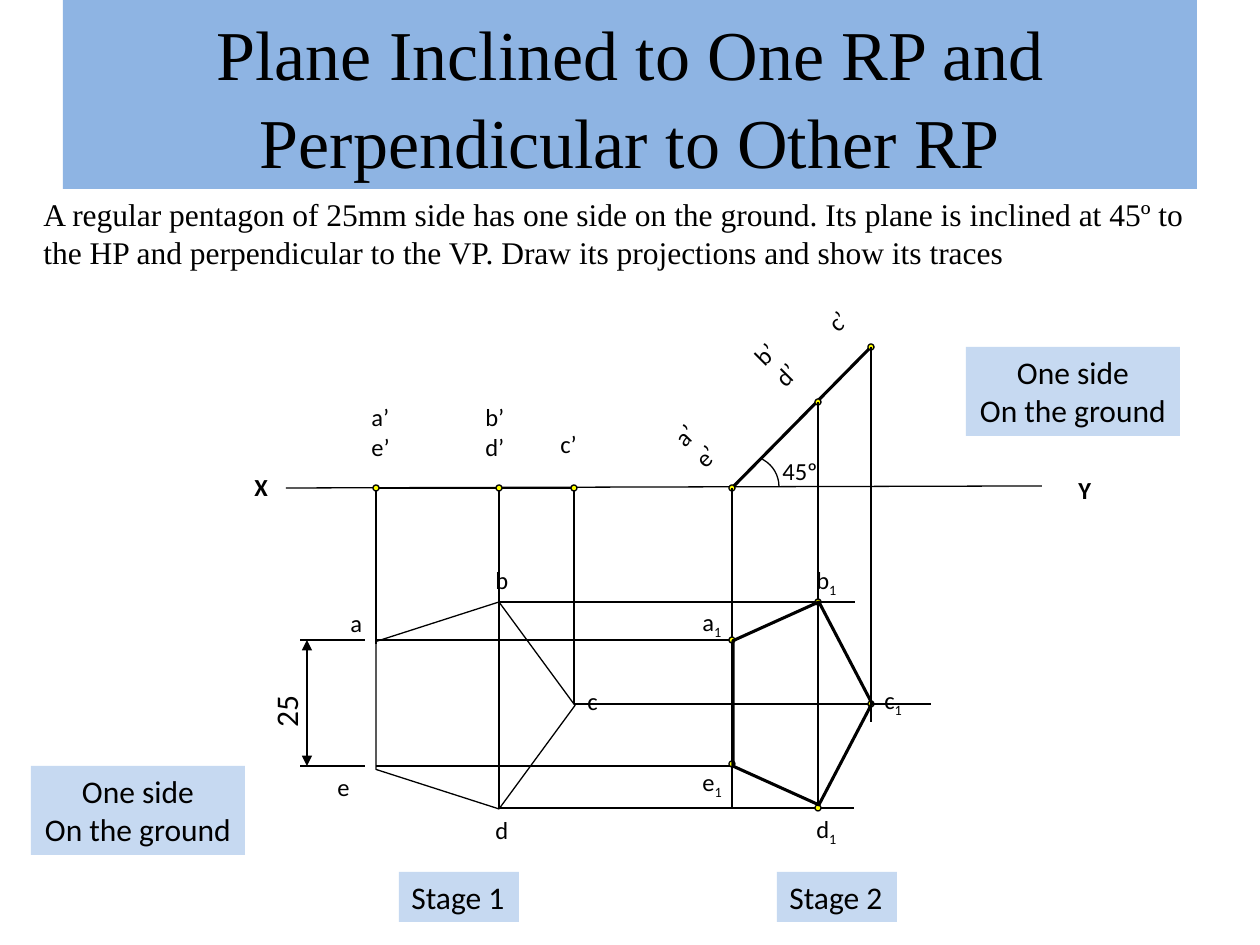
from lxml import etree
from pptx import Presentation
from pptx.dml.color import RGBColor
from pptx.enum.shapes import MSO_CONNECTOR, MSO_SHAPE
from pptx.enum.text import MSO_ANCHOR, MSO_AUTO_SIZE, PP_ALIGN
from pptx.oxml.ns import qn
from pptx.util import Pt

RECT, OVAL = MSO_SHAPE.RECTANGLE, MSO_SHAPE.OVAL
PENTAGON, ARC = MSO_SHAPE.REGULAR_PENTAGON, MSO_SHAPE.ARC
STRAIGHT = MSO_CONNECTOR.STRAIGHT
LEFT, CENTER = PP_ALIGN.LEFT, PP_ALIGN.CENTER
TOP, MIDDLE = MSO_ANCHOR.TOP, MSO_ANCHOR.MIDDLE
FIT, FIXED = MSO_AUTO_SIZE.SHAPE_TO_FIT_TEXT, MSO_AUTO_SIZE.NONE

EMU_PER_PX = 914400 // 126
THIN, THICK = 0.75, 1.75


def px(value):
    return int(value * EMU_PER_PX)


def color(hex_value):
    return RGBColor.from_string(hex_value)


class Drawing:
    ink, dot_fill, note_fill, title_fill = "000000", "FFFF00", "C6D9F1", "8EB4E3"
    sans, serif = "Calibri", "Times New Roman"

    def __init__(self, slide):
        self.shapes = slide.shapes

    def line(self, x1, y1, x2, y2, weight=THIN, arrows=False):
        link = self.shapes.add_connector(STRAIGHT, px(x1), px(y1), px(x2), px(y2))
        link.line.color.rgb = color(self.ink)
        link.line.width = Pt(weight)
        properties = link.line._get_or_add_ln()
        if arrows:
            for end in ("a:headEnd", "a:tailEnd"):
                etree.SubElement(properties, qn(end), type="triangle")
        etree.SubElement(properties.getparent(), qn("a:effectLst"))

    def shape(self, kind, box, fill=None, weight=None, rotation=0):
        item = self.shapes.add_shape(kind, *map(px, box))
        item.shadow.inherit = False
        item.rotation = rotation
        if fill:
            item.fill.solid()
            item.fill.fore_color.rgb = color(fill)
        else:
            item.fill.background()
        if weight:
            item.line.color.rgb = color(self.ink)
            item.line.width = Pt(weight)
        else:
            item.line.fill.background()
        return item

    def dot(self, x, y, rotation=0):
        self.shape(OVAL, (x - 3, y - 3, 6, 6), self.dot_fill, THIN, rotation)

    def set_text(self, item, lines, size, font=sans, bold=False, align=LEFT,
                 subscript="", spacing=None, **frame):
        settings = {"word_wrap": True, "auto_size": FIT, "vertical_anchor": TOP, **frame}
        for name, value in settings.items():
            setattr(item.text_frame, name, value)
        for index, line in enumerate(lines):
            paragraph = (item.text_frame.add_paragraph() if index
                         else item.text_frame.paragraphs[0])
            paragraph.alignment = align
            paragraph.line_spacing = spacing
            for text in filter(None, (line, subscript)):
                run = paragraph.add_run()
                run.text = text
                for name, value in {"name": font, "size": Pt(size), "bold": bold}.items():
                    setattr(run.font, name, value)
                run.font.color.rgb = color(self.ink)
                if text == subscript:
                    run.font._element.set("baseline", "-25000")

    def label(self, text, x, y, width=53, height=42, rotation=0, size=14, **style):
        box = self.shapes.add_textbox(px(x), px(y), px(width), px(height))
        box.rotation = rotation
        self.set_text(box, [text], size, **style)

    def note(self, lines, box, align=LEFT):
        self.set_text(self.shape(RECT, box, self.note_fill), lines, 18,
                      align=align, word_wrap=False)


presentation = Presentation()
presentation.slide_width, presentation.slide_height = px(1260), px(945)
drawing = Drawing(presentation.slides.add_slide(presentation.slide_layouts[6]))

# Shared levels and projector positions
GROUND = 488
B_LEVEL, A_LEVEL, C_LEVEL, E_LEVEL, D_LEVEL = 602, 640, 704, 766, 808
A_PLAN, B_PLAN, C_PLAN = 376, 499, 574
A_TILT, B_TILT, C_TILT = 732, 818, 871
B_HEIGHT, C_HEIGHT = 402, 347

# Problem statement and reference line
drawing.label("A regular pentagon of 25mm side has one side on the ground. Its plane is "
              "inclined at 45º to the HP and perpendicular to the VP. Draw its projections "
              "and show its traces", 31, 189, 1207, 89, size=18, font=drawing.serif)
drawing.line(286, GROUND, 1042, 486)
drawing.label("X", 242, 466, 58, bold=True)
drawing.label("Y", 1066, 469, 38, bold=True)

# Stage 1: plan, its corners and the side dimension
drawing.shape(PENTAGON, (372, 606, 207, 199), weight=THIN, rotation=90)
for corner, x, y in (("a", 338, 602), ("b", 483, 559), ("c", 575, 680),
                     ("d", 483, 809), ("e", 325, 766)):
    drawing.label(corner, x, y, 52)
for level in (A_LEVEL, E_LEVEL):
    drawing.line(365, level, 300, level)
drawing.line(307, A_LEVEL, 307, E_LEVEL, arrows=True)
drawing.label("25", 249, 678, 73, 50, rotation=270, size=18)

# Stage 1: elevation and projectors
for x, bottom in ((A_PLAN, 644), (B_PLAN, D_LEVEL), (C_PLAN, C_LEVEL)):
    drawing.line(x, GROUND, x, bottom)
drawing.line(A_PLAN, GROUND, C_PLAN, GROUND)
for text, x, y, height in (("a’e’", 359, 396, 72), ("b’d’", 473, 396, 72),
                           ("c’", 548, 423, 42)):
    drawing.label(text, x, y, height=height)
for x in (A_PLAN, B_PLAN, C_PLAN):
    drawing.dot(x, GROUND)

# Stage 2: tilted elevation
drawing.line(A_TILT, GROUND, C_TILT, C_HEIGHT, THICK)
for text, x, y, height in (("a’e’", 672, 406, 72), ("b’d’", 752, 325, 72),
                           ("c’", 815, 296, 42)):
    drawing.label(text, x, y, height=height, rotation=315)
for x, y in ((A_TILT, GROUND), (B_TILT, B_HEIGHT), (C_TILT, C_HEIGHT)):
    drawing.dot(x, y, rotation=315)

# Stage 2: projectors down and across
for x, top, bottom in ((A_TILT, GROUND, D_LEVEL), (B_TILT, B_HEIGHT, D_LEVEL),
                       (C_TILT, C_HEIGHT, 722)):
    drawing.line(x, top, x, bottom)
for level, start, end in ((A_LEVEL, A_PLAN, A_TILT), (E_LEVEL, A_PLAN, A_TILT),
                          (B_LEVEL, B_PLAN, 855), (D_LEVEL, B_PLAN, 854),
                          (C_LEVEL, C_PLAN, 931)):
    drawing.line(start, level, end, level)

# Stage 2: plan and its corners
for x, y in ((A_TILT, A_LEVEL), (B_TILT, B_LEVEL), (C_TILT, C_LEVEL),
             (B_TILT, D_LEVEL), (A_TILT, 764)):
    drawing.dot(x, y)
drawing.shape(PENTAGON, (701, 634, 203, 139), weight=THICK, rotation=90)
for corner, x, y in (("a", 690, 601), ("b", 804, 559), ("c", 872, 679),
                     ("d", 804, 808), ("e", 690, 761)):
    drawing.label(corner, x, y, subscript="1")

# Angle of inclination
angle = drawing.shape(ARC, (718, 456, 61, 61), weight=THIN)
angle.adjustments[0] = 297 * 0.6
angle.adjustments[1] = 0
drawing.label("45º", 770, 450, 69)

# Title and notes
title = drawing.shape(RECT, (63, 0, 1134, 189), drawing.title_fill)
drawing.set_text(title, ["Plane Inclined to One RP and Perpendicular to Other RP"], 40,
                 font=drawing.serif, align=CENTER, spacing=1.05,
                 vertical_anchor=MIDDLE, auto_size=FIXED)
for number, x in ((1, 399), (2, 777)):
    drawing.note([f"Stage {number}"], (x, 872, 120, 50))
for x, y in ((31, 766), (966, 347)):
    drawing.note(["One side", "On the ground"], (x, y, 214, 89), CENTER)

presentation.save("out.pptx")
